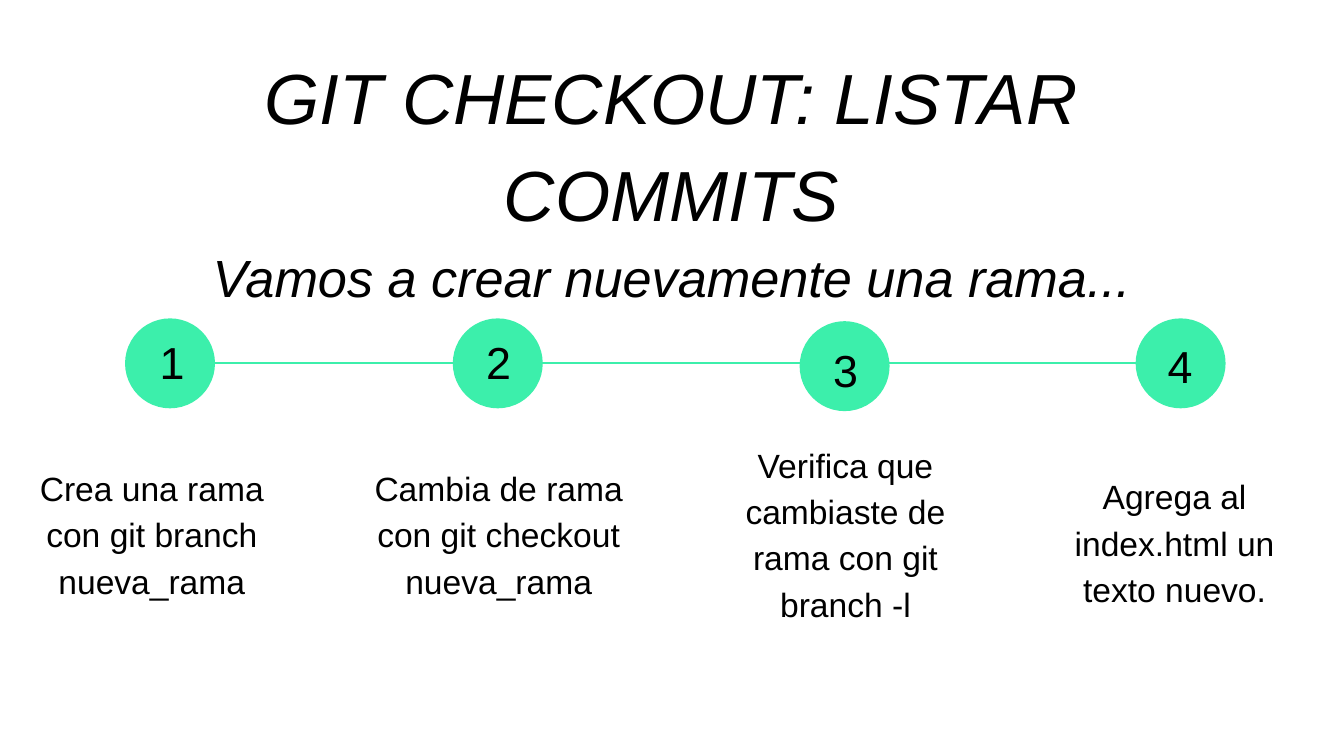
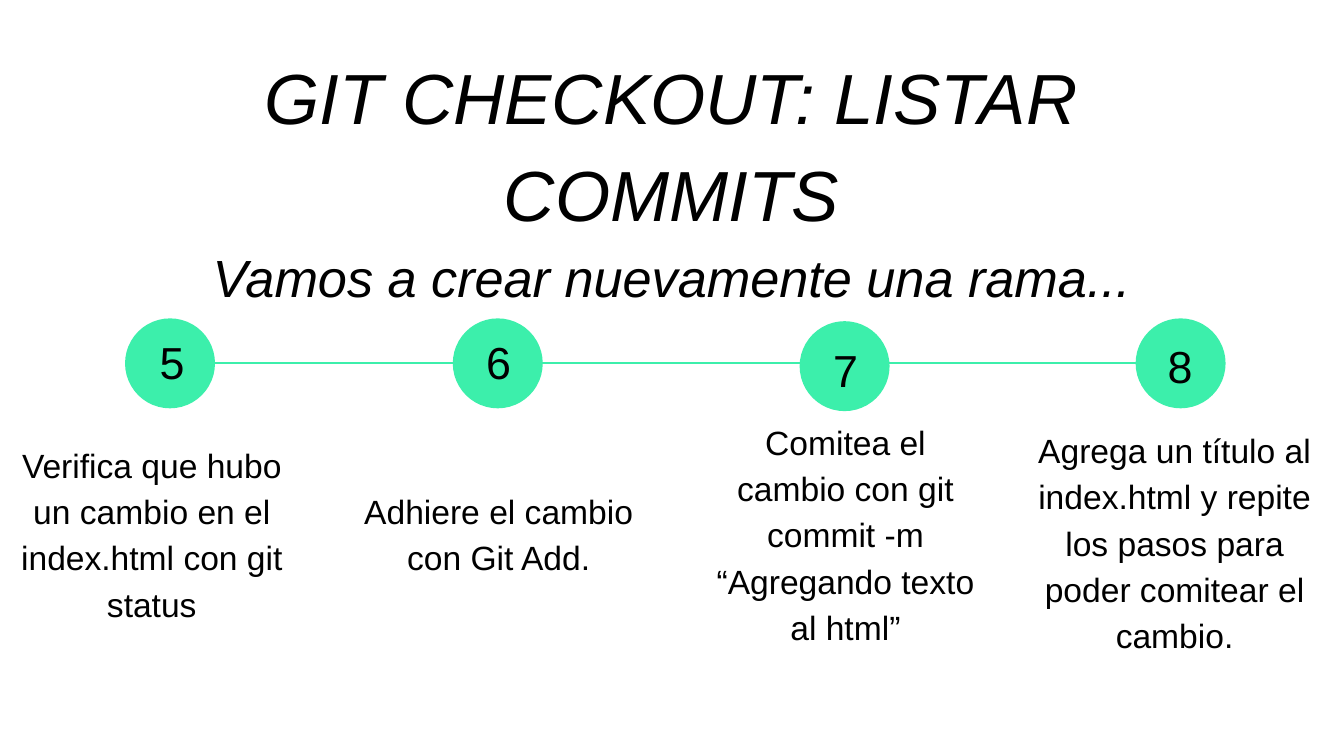
from pptx import Presentation
from pptx.dml.color import RGBColor
from pptx.enum.shapes import MSO_CONNECTOR, MSO_SHAPE
from pptx.enum.text import MSO_ANCHOR, PP_ALIGN
from pptx.oxml.ns import qn
from pptx.util import Pt
from lxml import etree

STRAIGHT = MSO_CONNECTOR.STRAIGHT
OVAL = MSO_SHAPE.OVAL
TOP, MIDDLE = MSO_ANCHOR.TOP, MSO_ANCHOR.MIDDLE
LEFT, CENTER = PP_ALIGN.LEFT, PP_ALIGN.CENTER

COLORS = {"accent": "3CEFAB", "text": "000000"}
FONT = "Arial"
INSET = 7.2
DIAMETER = 48.2
LINE_Y = 194.4
LABEL_W, LABEL_H = 162.7, 84.2
LABEL_STEP = 185.8

TITLE = [
    ("GIT CHECKOUT: LISTAR COMMITS", {"size": Pt(38), "italic": True}),
    ("Vamos a crear nuevamente una rama...", {"size": Pt(28), "italic": True}),
]
CIRCLES = [(67, 170.6), (242.6, 170.6), (428.4, 172.1), (608.4, 170.6)]
NUMBERS = [
    (78.5, 172.1, LEFT),
    (253.4, 172.1, LEFT),
    (439.2, 176.4, CENTER),
    (618.5, 174.2, CENTER),
]
LABELS = [(i * LABEL_STEP, 242.6) for i in range(3)] + [(547.9, 247)]
SLIDES = [
    [
        "Crea una rama con git branch nueva_rama",
        "Cambia de rama con git checkout nueva_rama",
        "Verifica que cambiaste de rama con git branch -l",
        "Agrega al index.html un texto nuevo.",
    ],
    [
        "Verifica que hubo un cambio en el index.html con git status",
        "Adhiere el cambio con Git Add.",
        "Comitea el cambio con git commit -m “Agregando texto al html”",
        "Agrega un título al index.html y repite los pasos para poder comitear el cambio.",
    ],
]


class Deck:
    """Hold the shared style and draw elements on the current slide."""

    def __init__(self):
        self.prs = Presentation()
        self.prs.slide_width, self.prs.slide_height = Pt(720), Pt(405)
        self.s = None

    def color(self, name):
        return RGBColor.from_string(COLORS[name])

    def slide(self):
        self.s = self.prs.slides.add_slide(self.prs.slide_layouts[6])

    def line(self, x1, y1, x2, y2):
        sp = self.s.shapes.add_connector(STRAIGHT, Pt(x1), Pt(y1), Pt(x2), Pt(y2))
        sp.line.color.rgb = self.color("accent")
        sp.line.width = Pt(0.75)
        etree.SubElement(sp._element.spPr, qn("a:effectLst"))

    def circle(self, x, y):
        sp = self.s.shapes.add_shape(OVAL, Pt(x), Pt(y), Pt(DIAMETER), Pt(DIAMETER))
        sp.shadow.inherit = False
        sp.fill.solid()
        sp.fill.fore_color.rgb = self.color("accent")
        sp.line.fill.background()

    def text(self, x, y, w, h, paragraphs, align=CENTER, anchor=TOP, spacing=1.15):
        tf = self.s.shapes.add_textbox(Pt(x), Pt(y), Pt(w), Pt(h)).text_frame
        frame = {"word_wrap": True, "vertical_anchor": anchor}
        frame.update({f"margin_{side}": Pt(INSET) for side in ("left", "top", "right", "bottom")})
        for key, value in frame.items():
            setattr(tf, key, value)
        for i, (words, fmt) in enumerate(paragraphs):
            p = tf.add_paragraph() if i else tf.paragraphs[0]
            p.alignment, p.line_spacing = align, spacing
            r = p.add_run()
            r.text = words
            r.font.color.rgb = self.color("text")
            for key, value in {"name": FONT, **fmt}.items():
                setattr(r.font, key, value)

    def number(self, x, y, value, align):
        self.text(x, y, 21.6, 24.5, [(str(value), {"size": Pt(24)})], align, spacing=1.0)

    def label(self, x, y, words):
        self.text(x, y, LABEL_W, LABEL_H, [(words, {"size": Pt(18)})], anchor=MIDDLE)

    def timeline(self, first, steps):
        self.slide()
        self.line(CIRCLES[0][0] + DIAMETER, LINE_Y, CIRCLES[-1][0], LINE_Y)
        self.text(103, 14.4, 513.4, 77.8, TITLE)
        for i, words in enumerate(steps):
            self.circle(*CIRCLES[i])
            x, y, align = NUMBERS[i]
            self.number(x, y, first + i, align)
            self.label(*LABELS[i], words)


def main():
    deck = Deck()
    first = 1
    for steps in SLIDES:
        deck.timeline(first, steps)
        first += len(steps)
    deck.prs.save("out.pptx")


if __name__ == "__main__":
    main()
